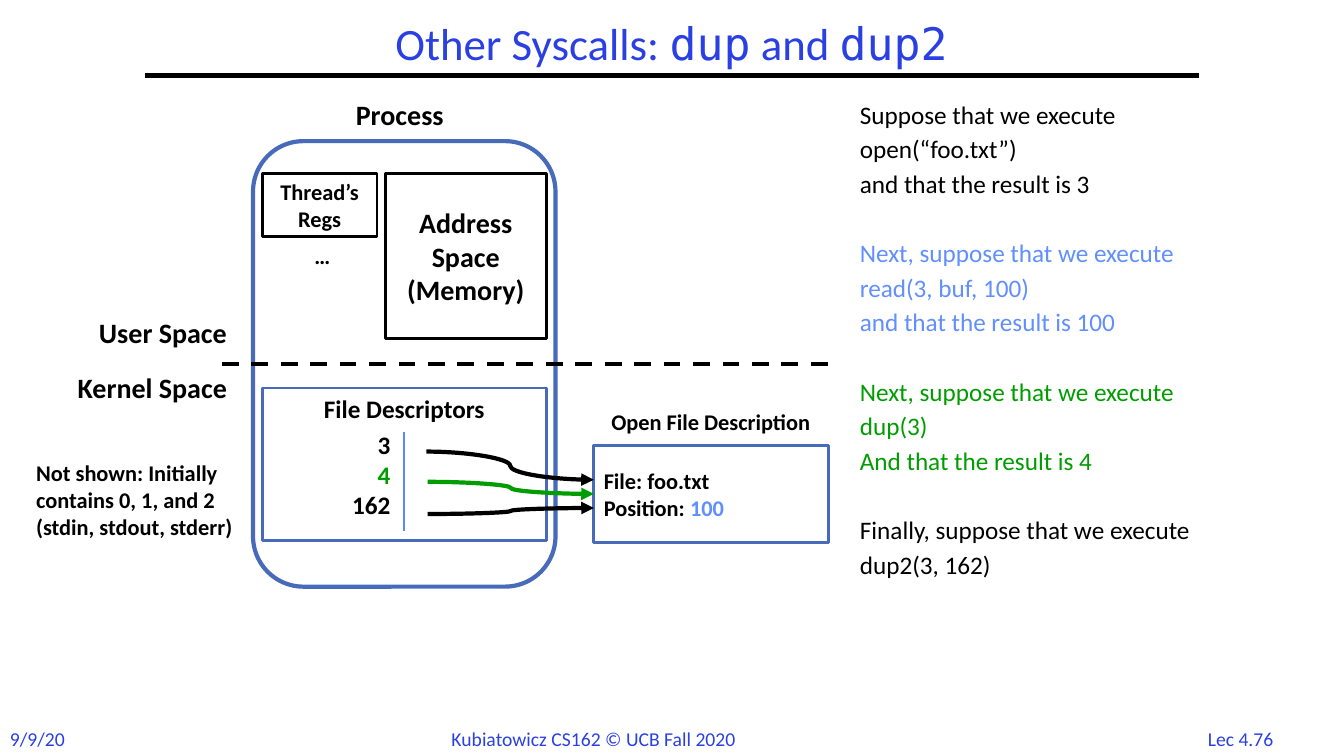
from lxml import etree
from pptx import Presentation
from pptx.dml.color import RGBColor
from pptx.enum.dml import MSO_LINE
from pptx.enum.shapes import MSO_CONNECTOR, MSO_SHAPE
from pptx.enum.text import MSO_ANCHOR, PP_ALIGN
from pptx.oxml.ns import qn
from pptx.util import Inches, Pt

LEFT, CENTER, RIGHT = PP_ALIGN.LEFT, PP_ALIGN.CENTER, PP_ALIGN.RIGHT
TOP, MIDDLE = MSO_ANCHOR.TOP, MSO_ANCHOR.MIDDLE
STRAIGHT, CURVE = MSO_CONNECTOR.STRAIGHT, MSO_CONNECTOR.CURVE
RECT, ROUNDED = MSO_SHAPE.RECTANGLE, MSO_SHAPE.ROUNDED_RECTANGLE
SANS, MONO = "Calibri", "DejaVu Sans Mono"
COLORS = {
    "black": "000000", "white": "FFFFFF", "title": "2A40E2", "frame": "486ABB",
    "read": "618FFD", "dup": "009D00", "divider": "5B8AFB",
}

# A paragraph is a list of (text, overrides) runs.
TITLE = [[("Other Syscalls: ", {}), ("dup", {"font": MONO}),
          (" and ", {}), ("dup2", {"font": MONO})]]
STEPS = [
    ("black", ["Suppose that we execute", "open(“foo.txt”)", "and that the result is 3"]),
    ("read", ["Next, suppose that we execute", "read(3, buf, 100)",
              "and that the result is 100"]),
    ("dup", ["Next, suppose that we execute", "dup(3)", "And that the result is 4"]),
    ("black", ["Finally, suppose that we execute", "dup2(3, 162)"]),
]
DESCRIPTORS = [("3", "black"), ("4", "dup"), ("162", "black")]
OPEN_FILE = [[("File: foo.txt", {})], [("Position: ", {}), ("100", {"color": "read"})]]

# text, box (left, top, width, height), format
FOOTERS = [
    ("9/9/20", (0, 7.16, 0.75, 0.34), LEFT),
    ("Kubiatowicz CS162 © UCB Fall 2020", (4.38, 7.16, 3.43, 0.34), LEFT),
    ("Lec 4.76", (11.82, 7.16, 0.97, 0.34), CENTER),
]
LABELS = [
    ("Process", (3.32, 0.92, 1.29, 0.44), {"size": 20, "align": CENTER}),
    ("User Space", (0.62, 3.08, 1.73, 0.44), {"size": 20, "align": RIGHT}),
    ("Kernel Space", (0.37, 3.63, 1.98, 0.44), {"size": 20, "align": RIGHT}),
    ("…", (3.02, 2.35, 0.43, 0.37), {}),
    ("Open File Description", (5.79, 4, 2.52, 0.37), {"align": CENTER}),
    ("Not shown: Initially contains 0, 1, and 2 (stdin, stdout, stderr)",
     (0.26, 4.51, 2.21, 1.18), {"wrap": True}),
]
# text, box, outline color, format
PROCESS_PARTS = [
    ("Address Space (Memory)", (3.82, 1.72, 1.6, 1.64), "black",
     {"size": 20, "align": CENTER}),
    ("Thread’s Regs", (2.6, 1.72, 1.14, 0.63), "black", {"align": CENTER}),
    ("File Descriptors", (2.6, 3.85, 2.82, 1.51), "frame",
     {"size": 18, "align": CENTER, "anchor": TOP}),
    (OPEN_FILE, (5.89, 4.42, 2.33, 0.96), "frame", {}),
]
# start, end, color
POINTERS = [
    ((4.23, 4.48), (5.89, 4.76), "black"),
    ((4.24, 4.78), (5.89, 4.9), "dup"),
    ((4.24, 5.1), (5.89, 5.04), "black"),
]

prs = Presentation()
prs.slide_width, prs.slide_height = Inches(13.33), Inches(7.5)
slide = prs.slides.add_slide(prs.slide_layouts[6])


def rgb(name):
    return RGBColor.from_string(COLORS[name])


def write(shape, text, size=16, color="black", bold=True, font=SANS, align=LEFT,
          anchor=MIDDLE, wrap=True, spacing=None):
    """Fill a shape with a string, or with paragraphs made of runs."""
    frame = shape.text_frame
    frame.word_wrap, frame.vertical_anchor = wrap, anchor
    paragraphs = [[(text, {})]] if isinstance(text, str) else text
    for index, runs in enumerate(paragraphs):
        paragraph = frame.add_paragraph() if index else frame.paragraphs[0]
        paragraph.alignment = align
        if spacing:
            paragraph.line_spacing = spacing
        for words, override in runs:
            run = paragraph.add_run()
            run.text = words
            run.font.size, run.font.bold = Pt(size), bold
            run.font.name = override.get("font", font)
            run.font.color.rgb = rgb(override.get("color", color))
    return frame


def add_text(text, box, **style):
    textbox = slide.shapes.add_textbox(*map(Inches, box))
    return write(textbox, text, **{"anchor": TOP, "wrap": False, **style})


def add_box(kind, box, outline, width, fill=None):
    shape = slide.shapes.add_shape(kind, *map(Inches, box))
    shape.shadow.inherit = False
    if fill:
        shape.fill.solid()
        shape.fill.fore_color.rgb = rgb(fill)
    else:
        shape.fill.background()
    shape.line.color.rgb, shape.line.width = rgb(outline), Pt(width)
    return shape


def add_line(start, end, color="black", width=3, kind=STRAIGHT, dashed=False, arrow=False):
    line = slide.shapes.add_connector(kind, *map(Inches, start + end))
    line.line.color.rgb, line.line.width = rgb(color), Pt(width)
    if dashed:
        line.line.dash_style = MSO_LINE.DASH
    if arrow:
        etree.SubElement(line.line._get_or_add_ln(), qn("a:tailEnd"), type="triangle")
    etree.SubElement(line._element.spPr, qn("a:effectLst"))


for text, box, align in FOOTERS:
    add_text(text, box, size=14, color="title", bold=False, align=align)
add_line((1.44, 0.75), (11.89, 0.75))
add_text(TITLE, (1.44, 0.17, 10.44, 0.58), size=32, color="title", bold=False,
         align=CENTER, anchor=MIDDLE, wrap=True, spacing=0.9)

step_lines = [[(line, {"color": color})] for color, lines in STEPS for line in lines]
steps = add_text(step_lines, (8.43, 0.97, 4.15, 5.26), size=18, bold=False,
                 wrap=True, spacing=0.9)
step_starts = [sum(len(lines) for _, lines in STEPS[:n]) for n in range(1, len(STEPS))]
for index, paragraph in enumerate(steps.paragraphs):
    paragraph.space_before = Pt(30.2 if index in step_starts else 5.2)

add_box(ROUNDED, (2.51, 1.4, 3, 4.42), "frame", 3)
add_line((2.2, 3.61), (8.22, 3.61), dashed=True)
for text, box, outline, style in PROCESS_PARTS:
    write(add_box(RECT, box, outline, 2, fill="white"), text, **style)
add_line((4.01, 4.29), (4.01, 5.27), color="divider", width=1.5)
add_text([[(number, {"color": color})] for number, color in DESCRIPTORS],
         (3.35, 4.21, 0.62, 1.01), size=18, align=RIGHT)
for text, box, style in LABELS:
    add_text(text, box, **style)
for start, end, color in POINTERS:
    add_line(start, end, color, kind=CURVE, arrow=True)

prs.save("out.pptx")
